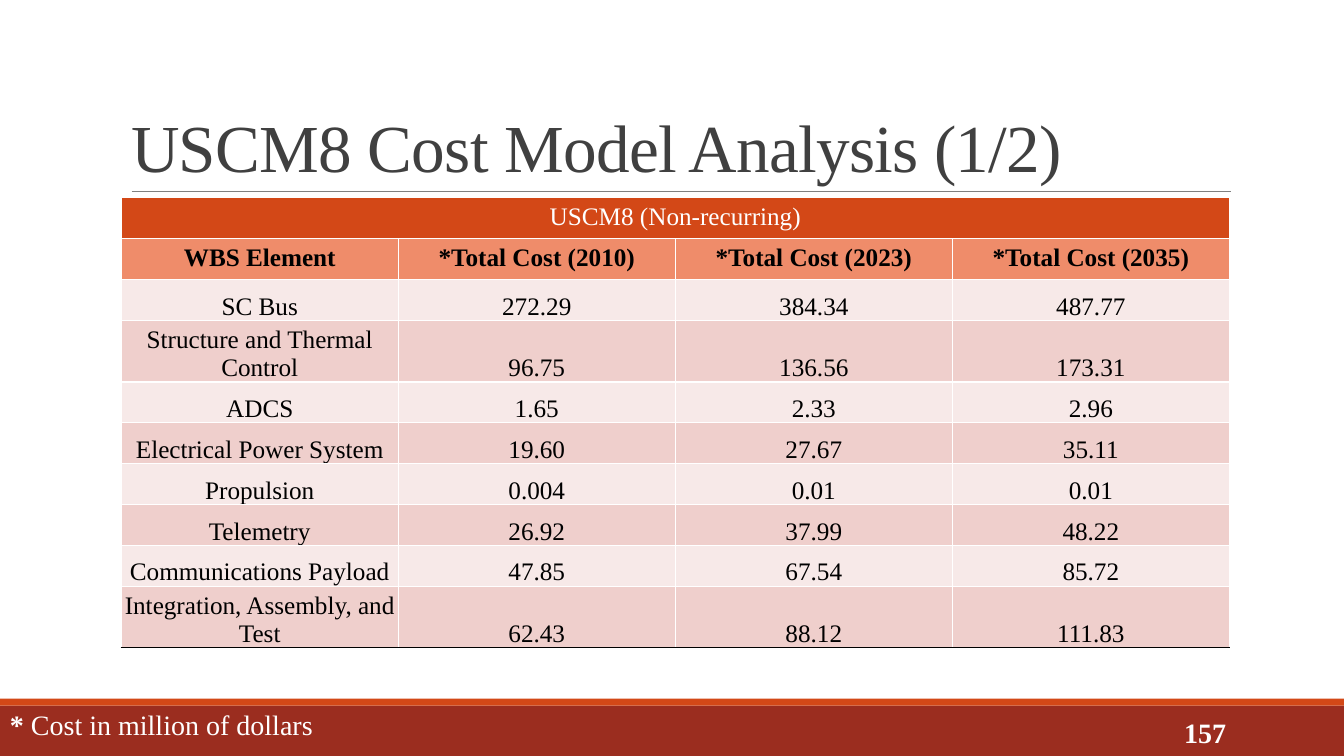
from lxml import etree
from pptx import Presentation
from pptx.dml.color import RGBColor
from pptx.enum.shapes import MSO_CONNECTOR, MSO_SHAPE
from pptx.enum.text import MSO_ANCHOR, PP_ALIGN
from pptx.oxml.ns import qn
from pptx.util import Pt

LEFT, CENTER, RIGHT = PP_ALIGN.LEFT, PP_ALIGN.CENTER, PP_ALIGN.RIGHT
TOP, MIDDLE, BOTTOM = MSO_ANCHOR.TOP, MSO_ANCHOR.MIDDLE, MSO_ANCHOR.BOTTOM
RECTANGLE, STRAIGHT = MSO_SHAPE.RECTANGLE, MSO_CONNECTOR.STRAIGHT

FONT = "Times New Roman"
WHITE, BLACK, GRAY, RULE = "FFFFFF", "000000", "404040", "808080"
ORANGE, BRICK, SALMON = "D34817", "9B2D1F", "EF8C6A"
BANDS = ("F7E9E8", "EFCFCC")

TITLE = "USCM8 Cost Model Analysis (1/2)"
PAGE_NUMBER = "157"
FOOTNOTE = (("* ", True), ("Cost in million of dollars", False))
TABLE_TITLE = "USCM8 (Non-recurring)"
HEADERS = ("WBS Element", "*Total Cost (2010)", "*Total Cost (2023)", "*Total Cost (2035)")
COSTS = [
    ("SC Bus", "272.29", "384.34", "487.77"),
    ("Structure and Thermal Control", "96.75", "136.56", "173.31"),
    ("ADCS", "1.65", "2.33", "2.96"),
    ("Electrical Power System", "19.60", "27.67", "35.11"),
    ("Propulsion", "0.004", "0.01", "0.01"),
    ("Telemetry", "26.92", "37.99", "48.22"),
    ("Communications Payload", "47.85", "67.54", "85.72"),
    ("Integration, Assembly, and Test", "62.43", "88.12", "111.83"),
]

SLIDE_WIDTH, SLIDE_HEIGHT = 960, 540
FOOTER_TOP, STRIPE_HEIGHT = 504, 5
TABLE_LEFT, TABLE_TOP, TABLE_WIDTH, ROW_HEIGHT = 86.6, 141.3, 791.6, 29.2


def color(value):
    return RGBColor.from_string(value)


def style(paragraph, size, hue, bold=False, align=LEFT):
    paragraph.alignment = align
    font = paragraph.font
    font.name, font.size, font.bold = FONT, Pt(size), bold
    font.color.rgb = color(hue)


def add_bar(slide, top, height, hue):
    shape = slide.shapes.add_shape(RECTANGLE, 0, Pt(top), Pt(SLIDE_WIDTH), Pt(height))
    shape.shadow.inherit = False
    shape.fill.solid()
    shape.fill.fore_color.rgb = color(hue)
    shape.line.fill.background()


def add_text(slide, box, runs, size, hue, anchor=TOP, align=LEFT):
    """Add a one-paragraph text box; runs are (text, bold) pairs."""
    frame = slide.shapes.add_textbox(*map(Pt, box)).text_frame
    frame.word_wrap = True
    frame.vertical_anchor = anchor
    paragraph = frame.paragraphs[0]
    style(paragraph, size, hue, align=align)
    for text, bold in runs:
        run = paragraph.add_run()
        run.text = text
        run.font.bold = bold
    return paragraph


def add_rule(slide, left, right, y):
    line = slide.shapes.add_connector(STRAIGHT, Pt(left), Pt(y), Pt(right), Pt(y))
    line.line.color.rgb = color(RULE)
    line.line.width = Pt(0.5)
    etree.SubElement(line._element.spPr, qn("a:effectLst"))


def set_borders(cell, bottom):
    """Draw 1 pt white borders, with the given colour below."""
    properties = cell._tc.get_or_add_tcPr()
    sides = (("lnL", WHITE), ("lnR", WHITE), ("lnT", WHITE), ("lnB", bottom))
    for position, (side, hue) in enumerate(sides):
        border = etree.Element(qn("a:" + side), w=str(Pt(1)))
        fill = etree.SubElement(border, qn("a:solidFill"))
        etree.SubElement(fill, qn("a:srgbClr"), val=hue)
        properties.insert(position, border)


def fill_cell(cell, text, fill, hue=BLACK, bold=False):
    cell.fill.solid()
    cell.fill.fore_color.rgb = color(fill)
    cell.text = text
    style(cell.text_frame.paragraphs[0], 18, hue, bold, CENTER)


def add_cost_table(slide):
    row_count, column_count = len(COSTS) + 2, len(HEADERS)
    table = slide.shapes.add_table(
        row_count, column_count, Pt(TABLE_LEFT), Pt(TABLE_TOP),
        Pt(TABLE_WIDTH), Pt(ROW_HEIGHT * row_count)).table
    for row in table.rows:
        row.height = Pt(ROW_HEIGHT)
    for column in table.columns:
        column.width = Pt(TABLE_WIDTH / column_count)

    fill_cell(table.cell(0, 0), TABLE_TITLE, ORANGE, WHITE)
    table.cell(0, 0).merge(table.cell(0, column_count - 1))
    for column, header in enumerate(HEADERS):
        fill_cell(table.cell(1, column), header, SALMON, bold=True)
    for index, values in enumerate(COSTS):
        for column, value in enumerate(values):
            cell = table.cell(index + 2, column)
            fill_cell(cell, value, BANDS[index % 2])
            cell.vertical_anchor = BOTTOM
            cell.margin_left = cell.margin_right = cell.margin_top = Pt(0.7)
            cell.margin_bottom = 0
    for row in range(row_count):
        for column in range(column_count):
            set_borders(table.cell(row, column), BLACK if row == row_count - 1 else WHITE)


def main():
    presentation = Presentation()
    presentation.slide_width, presentation.slide_height = Pt(SLIDE_WIDTH), Pt(SLIDE_HEIGHT)
    slide = presentation.slides.add_slide(presentation.slide_layouts[6])

    add_bar(slide, FOOTER_TOP, SLIDE_HEIGHT - FOOTER_TOP, BRICK)
    add_bar(slide, FOOTER_TOP - STRIPE_HEIGHT, STRIPE_HEIGHT, ORANGE)
    add_rule(slide, 94, 879, 136.8)
    title = add_text(slide, (86.6, 22.6, 792, 114.2), [(TITLE, None)], 48, GRAY, BOTTOM)
    title.line_spacing = 0.85
    title.runs[0].font._element.set("spc", "-50")
    add_text(slide, (780, 508.5, 103, 28.8), [(PAGE_NUMBER, True)], 20, WHITE, MIDDLE, RIGHT)
    add_cost_table(slide)
    add_text(slide, (0, 502, 314, 31.5), FOOTNOTE, 20, WHITE)
    presentation.save("out.pptx")


if __name__ == "__main__":
    main()
